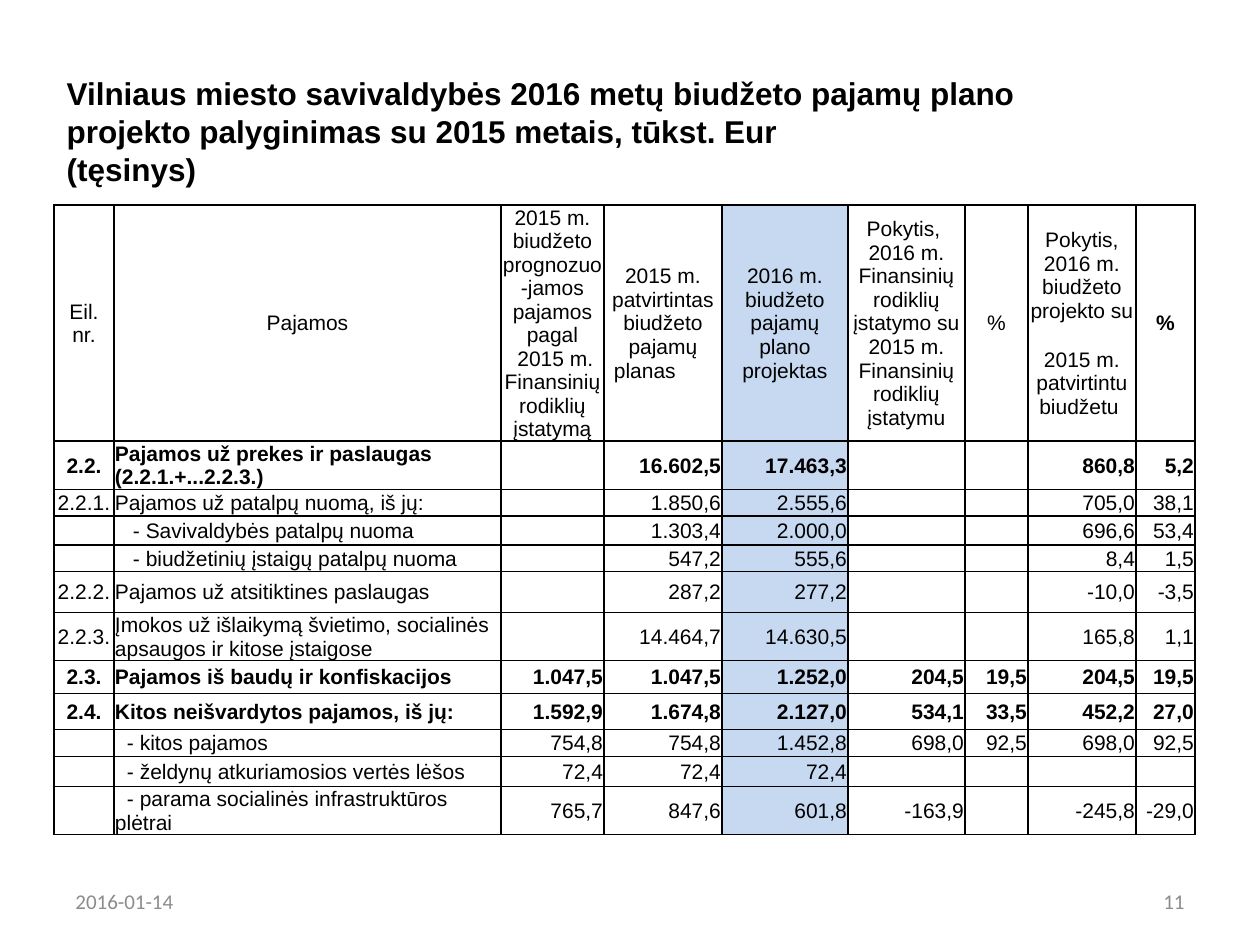
from lxml.etree import SubElement
from pptx import Presentation
from pptx.dml.color import RGBColor
from pptx.enum.text import MSO_ANCHOR, MSO_AUTO_SIZE, PP_ALIGN
from pptx.oxml.ns import qn
from pptx.util import Emu, Pt

HUES = {"ink": "000000", "plan": "C6D9F1", "note": "8C8C8C"}
LEFT, MID, RIGHT = PP_ALIGN.LEFT, PP_ALIGN.CENTER, PP_ALIGN.RIGHT
PLAN = 4  # shaded column

COLS = [60, 387, 103, 118, 126, 117, 63, 108, 59]
TALL = [236, 48, 25, 29, 25, 41, 48, 33, 36, 27, 30, 48]
HEAD = [
    "Eil. nr.",
    "Pajamos",
    "2015 m. biudžeto prognozuo-jamos pajamos\vpagal\v 2015 m. Finansinių rodiklių įstatymą",
    "2015 m. patvirtintas biudžeto pajamų\nplanas",
    "2016 m. biudžeto pajamų plano projektas",
    "Pokytis, \v2016 m. Finansinių rodiklių įstatymo su 2015 m. Finansinių rodiklių įstatymu",
    "%",
    "Pokytis, 2016 m. biudžeto projekto su \v2015 m. patvirtintu biudžetu ",
    "%",
]
# First-line indent, bold, then the cells
ROWS = [
    (0, True, ["2.2.", "Pajamos už prekes ir paslaugas (2.2.1.+...2.2.3.)",
               "", "16.602,5", "17.463,3", "", "", "860,8", "5,2"]),
    (0, False, ["2.2.1.", "Pajamos už patalpų nuomą, iš jų:",
                "", "1.850,6", "2.555,6", "", "", "705,0", "38,1"]),
    (18, False, ["", "- Savivaldybės patalpų nuoma",
                 "", "1.303,4", "2.000,0", "", "", "696,6", "53,4"]),
    (18, False, ["", "- biudžetinių įstaigų patalpų nuoma",
                 "", "547,2", "555,6", "", "", "8,4", "1,5"]),
    (0, False, ["2.2.2.", "Pajamos už atsitiktines paslaugas",
                "", "287,2", "277,2", "", "", "-10,0", "-3,5"]),
    (0, False, ["2.2.3.", "Įmokos už išlaikymą švietimo, socialinės apsaugos ir kitose įstaigose",
                "", "14.464,7", "14.630,5", "", "", "165,8", "1,1"]),
    (0, True, ["2.3.", "Pajamos iš baudų ir konfiskacijos",
               "1.047,5", "1.047,5", "1.252,0", "204,5", "19,5", "204,5", "19,5"]),
    (0, True, ["2.4.", "Kitos neišvardytos pajamos, iš jų:",
               "1.592,9", "1.674,8", "2.127,0", "534,1", "33,5", "452,2", "27,0"]),
    (12, False, ["", "- kitos pajamos",
                 "754,8", "754,8", "1.452,8", "698,0", "92,5", "698,0", "92,5"]),
    (12, False, ["", "- želdynų atkuriamosios vertės lėšos",
                 "72,4", "72,4", "72,4", "", "", "", ""]),
    (12, False, ["", "- parama socialinės infrastruktūros plėtrai",
                 "765,7", "847,6", "601,8", "-163,9", "", "-245,8", "-29,0"]),
]


def px(count):
    return Emu(round(count * 914400 / 126))


class Deck:
    def __init__(self):
        self.file = Presentation()
        self.file.slide_width, self.file.slide_height = px(1260), px(945)
        self.slide = self.file.slides.add_slide(self.file.slide_layouts[5])

    def style(self, frame, size, align=LEFT, bold=False, face="Arial", hue="ink"):
        for para in frame.paragraphs:
            para.alignment = align
            for run in para.runs:
                font = run.font
                font.size, font.bold, font.name = Pt(size), bold, face
                font.color.rgb = RGBColor.from_string(HUES[hue])
            # Line breaks and empty cells keep the text size too
            for gap in para._p.findall(qn("a:br")):
                SubElement(gap, qn("a:rPr"), sz=str(size * 100))
            if not para.runs:
                SubElement(para._p, qn("a:endParaRPr"), sz=str(size * 100))

    def title(self, text, x, y, w, h):
        shape = self.slide.shapes.title
        shape.left, shape.top, shape.width, shape.height = map(px, (x, y, w, h))
        frame = shape.text_frame
        frame.text = text
        frame.word_wrap, frame.auto_size = True, MSO_AUTO_SIZE.NONE
        frame.vertical_anchor = MSO_ANCHOR.MIDDLE
        self.style(frame, 18, bold=True)

    def note(self, text, x, y, w, h, align=LEFT):
        frame = self.slide.shapes.add_textbox(*map(px, (x, y, w, h))).text_frame
        frame.text = text
        frame.word_wrap = True
        frame.vertical_anchor = MSO_ANCHOR.MIDDLE
        self.style(frame, 12, align, face="Calibri", hue="note")

    def table(self, x, y, cols, tall):
        grid = self.slide.shapes.add_table(
            len(tall), len(cols), px(x), px(y), px(sum(cols)), px(sum(tall))).table
        grid.first_row = grid.horz_banding = False
        for col, w in zip(grid.columns, cols):
            col.width = px(w)
        for row, h in zip(grid.rows, tall):
            row.height = px(h)
        return grid

    def cell(self, cell, text, align, bold, fill=None):
        cell.text = text
        cell.vertical_anchor = MSO_ANCHOR.MIDDLE
        cell.margin_left = cell.margin_right = cell.margin_top = px(1)
        cell.margin_bottom = 0
        props = cell._tc.get_or_add_tcPr()
        for side in ("lnL", "lnR", "lnT", "lnB"):
            line = SubElement(props, qn("a:" + side), w=str(Pt(1)))
            paint = SubElement(line, qn("a:solidFill"))
            SubElement(paint, qn("a:srgbClr"), val=HUES["ink"])
        if fill:
            cell.fill.solid()
            cell.fill.fore_color.rgb = RGBColor.from_string(HUES[fill])
        else:
            cell.fill.background()
        self.style(cell.text_frame, 12, align, bold)

    def indent(self, para, count):
        para._p.get_or_add_pPr().set("indent", str(px(count)))


def main():
    deck = Deck()
    deck.title("Vilniaus miesto savivaldybės 2016 metų biudžeto pajamų plano projekto "
               "palyginimas su 2015 metais, tūkst. Eur\v(tęsinys)", 54, 76, 983, 110)

    # Budget table: heading row
    grid = deck.table(54, 205, COLS, TALL)
    for c, text in enumerate(HEAD):
        deck.cell(grid.cell(0, c), text, MID, c == len(HEAD) - 1,
                  "plan" if c == PLAN else None)
    last = grid.cell(0, 3).text_frame.paragraphs[-1]
    last.alignment = LEFT
    deck.indent(last, 9)

    # Budget table: income rows
    sides = [MID, LEFT] + [RIGHT] * 7
    for r, (inset, bold, row) in enumerate(ROWS, 1):
        for c, text in enumerate(row):
            deck.cell(grid.cell(r, c), text, sides[c], bold,
                      "plan" if c == PLAN else None)
        if inset:
            deck.indent(grid.cell(r, 1).text_frame.paragraphs[0], inset)

    # Footer
    deck.note("11", 903, 876, 294, 50, RIGHT)
    deck.note("2016-01-14", 63, 876, 294, 50)
    deck.file.save("out.pptx")


if __name__ == "__main__":
    main()
